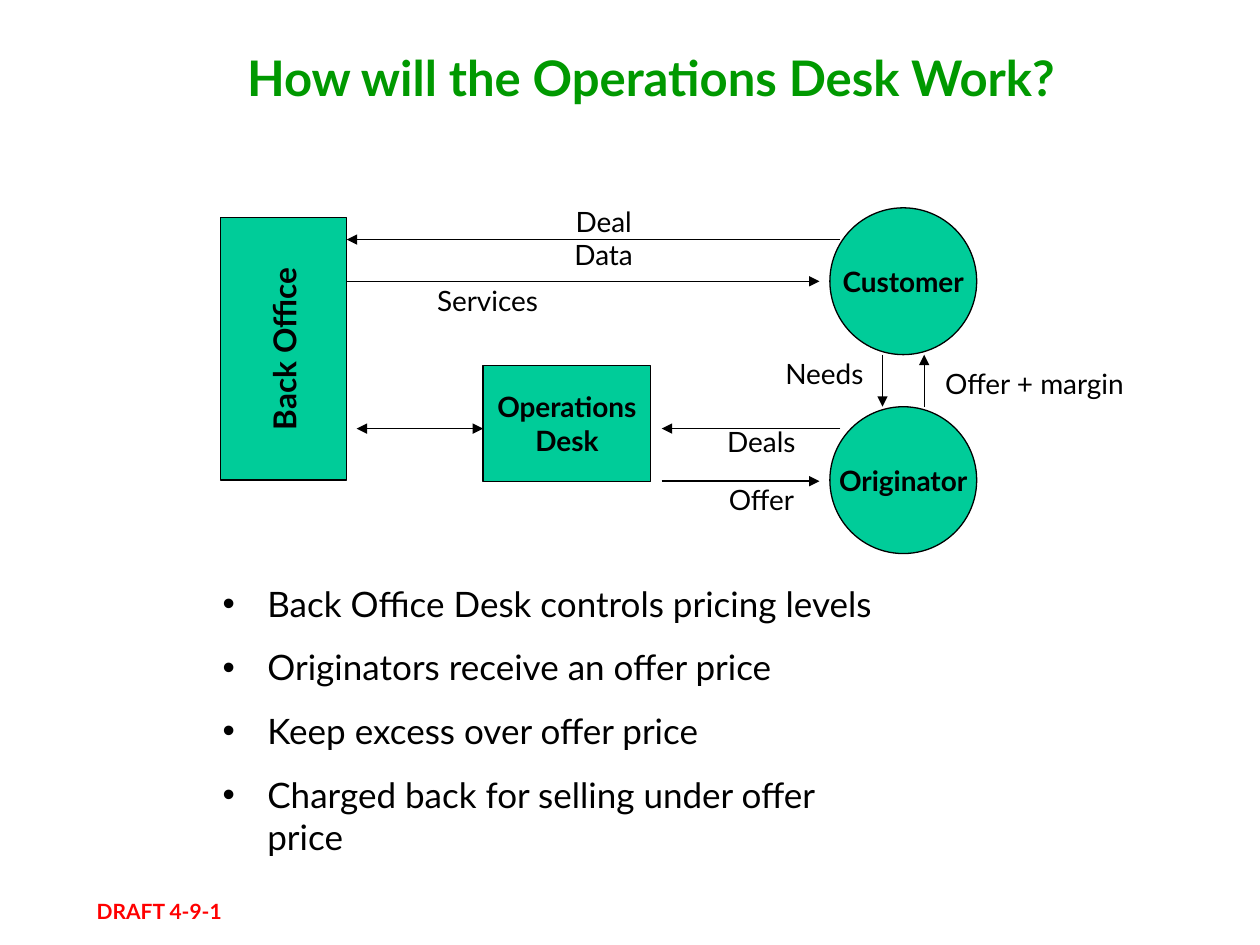
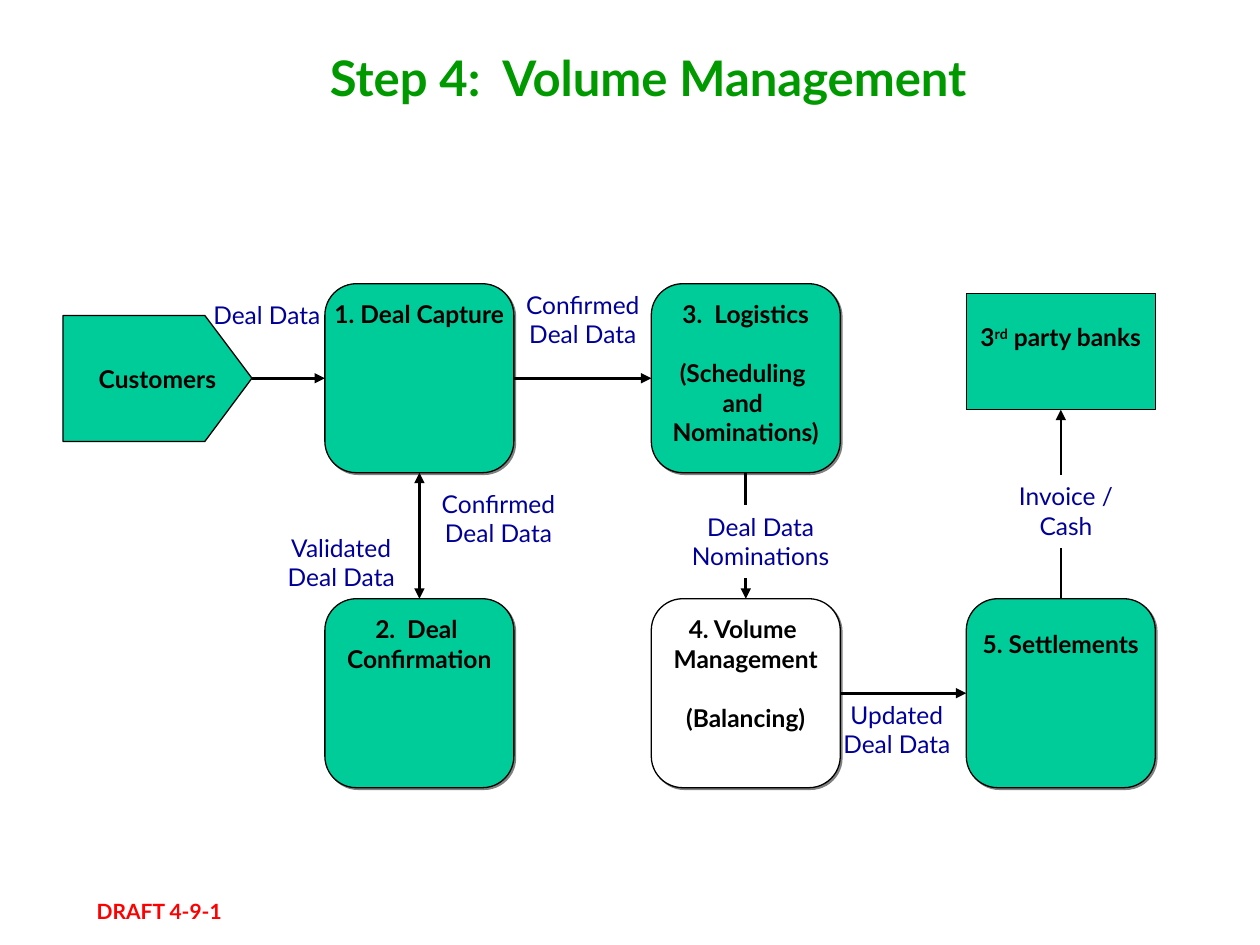
from lxml.etree import SubElement as Sub
from pptx import Presentation
from pptx.dml.color import RGBColor as Rgb
from pptx.enum.shapes import MSO_CONNECTOR as Con, MSO_SHAPE as Geo
from pptx.enum.text import MSO_ANCHOR as Anc, PP_ALIGN as Al
from pptx.oxml.ns import qn
from pptx.util import Cm, Pt

HUE = {"title": "009900", "fill": "00CC99", "ink": "000000", "white": "FFFFFF",
       "label": "000099", "draft": "FF0000", "shade": "808080"}
FONT = "Lato"
SIDE = 3.81
LINE = 16.8


def put(obj, vals):
    """Set each attribute named in a dict."""
    for name, val in vals.items():
        setattr(obj, name, val)


def write(shape, lines, size, hue="ink", bold=False, al=Al.CENTER, gap=None, **form):
    """Fill a shape with paragraphs; text between carets is raised."""
    frame = shape.text_frame
    put(frame, {"word_wrap": True, "vertical_anchor": Anc.TOP, **form})
    for num, line in enumerate(lines):
        para = frame.paragraphs[0] if num == 0 else frame.add_paragraph()
        put(para, {"alignment": al})
        if num == gap:
            para.space_before = Pt(LINE)
        for pos, part in enumerate(line.split("^")):
            run = para.add_run()
            run.text = part
            put(run.font, {"name": FONT, "size": Pt(size), "bold": bold})
            run.font.color.rgb = Rgb.from_string(HUE[hue])
            if pos % 2:
                run.font._element.set("baseline", "30000")
    return frame


def paint(shape, fill="fill"):
    """Give a shape its flat fill and thin outline."""
    shape.shadow.inherit = False
    shape.fill.solid()
    shape.fill.fore_color.rgb = Rgb.from_string(HUE[fill])
    shape.line.color.rgb = Rgb.from_string(HUE["ink"])
    shape.line.width = Pt(0.75)


def shade(shape):
    """Add a small hard shadow to the lower right."""
    fx = shape._element.spPr.find(qn("a:effectLst"))
    drop = Sub(fx, qn("a:outerShdw"), blurRad="0", dist="17780", dir="2700000",
               algn="ctr", rotWithShape="0")
    Sub(drop, qn("a:srgbClr"), val=HUE["shade"])


class Area:
    """A region of a slide that places parts relative to its corner."""

    def __init__(self, slide, left, top):
        """Keep the shapes and the corner, in cm."""
        self.items, self.left, self.top = slide.shapes, left, top

    def spot(self, x, y):
        """Turn a point of the region into slide lengths."""
        return Cm(self.left + x), Cm(self.top + y)

    def node(self, geo, x, y, wide, high, fill="fill"):
        """Add a filled shape."""
        shape = self.items.add_shape(geo, *self.spot(x, y), Cm(wide), Cm(high))
        paint(shape, fill)
        return shape

    def text(self, x, y, wide, high, lines, size, **form):
        """Add a text box."""
        box = self.items.add_textbox(*self.spot(x, y), Cm(wide), Cm(high))
        return write(box, lines, size, **form)

    def link(self, start, end, wide, both=False):
        """Add an arrow between two points."""
        line = self.items.add_connector(Con.STRAIGHT, *self.spot(*start), *self.spot(*end))
        line.line.color.rgb = Rgb.from_string(HUE["ink"])
        line.line.width = Pt(wide)
        pen = line.line._get_or_add_ln()
        for tag in ("a:headEnd", "a:tailEnd") if both else ("a:tailEnd",):
            Sub(pen, qn(tag), type="triangle")
        Sub(line._element.spPr, qn("a:effectLst"))


def base(deck, title, left, wide):
    """Add a slide with its title and draft mark."""
    slide = deck.slides.add_slide(deck.slide_layouts[6])
    area = Area(slide, 0, 0)
    area.text(1.7, 17.98, 5.08, 0.76, ["DRAFT 4-9-1"], 12, hue="draft", bold=True, al=Al.LEFT)
    area.text(left, 0.84, wide, 1.45, [title], 28, hue="title", bold=True, word_wrap=False)
    return slide


def desk(slide, left, top):
    """Draw the flow between back office, desk, originator and customer."""
    area = Area(slide, left, top)
    form = {"bold": True, "word_wrap": False, "vertical_anchor": Anc.MIDDLE}
    office = area.node(Geo.FLOWCHART_PROCESS, 0, 0.2, 2.54, 5.29)
    frame = write(office, ["Back Office"], 18, **form)
    frame._txBody.bodyPr.set("vert", "vert270")
    ops = area.node(Geo.FLOWCHART_PROCESS, 5.29, 3.18, 3.38, 2.34)
    write(ops, ["Operations", "Desk"], 16, **form)
    for name, y in (("Customer", 0), ("Originator", 4.01)):
        disc = area.node(Geo.FLOWCHART_CONNECTOR, 12.28, y, 2.96, 2.96)
        write(disc, [name], 16, **form)
    area.link((5.29, 4.45), (2.74, 4.45), 0.75, both=True)
    for start, end in (((12.49, 4.45), (8.89, 4.45)), ((8.89, 5.51), (12.07, 5.51)),
                       ((12.49, 0.64), (2.54, 0.64)), ((2.54, 1.48), (12.07, 1.48)),
                       ((13.34, 2.96), (13.34, 4.01)), ((14.18, 4.01), (14.18, 2.96))):
        area.link(start, end, 0.75)
    for name, x, y, wide in (("Deals", 9.53, 4.24, 2.74), ("Offer", 9.53, 5.41, 2.74),
                             ("Offer + margin", 14.18, 3.07, 4.45),
                             ("Deal Data", 6.35, -0.2, 2.74),
                             ("Services", 4.01, 1.4, 2.74), ("Needs", 10.8, 2.87, 2.74)):
        area.text(x, y, wide, 0.93, [name], 16)


def points(slide, left, top):
    """List the rules of the desk as bullets."""
    lines = ["Back Office Desk controls pricing levels", "Originators receive an offer price",
             "Keep excess over offer price", "Charged back for selling under offer price"]
    frame = Area(slide, left, top).text(0, 0, 13.97, 6.65, lines, 20, al=Al.LEFT)
    for num, para in enumerate(frame.paragraphs):
        props = para._p.get_or_add_pPr()
        put(para, {"space_before": Pt(12.5 if num else 0)})
        props.set("marL", str(Cm(0.9)))
        props.set("indent", str(-Cm(0.9)))
        Sub(props, qn("a:buFont"), typeface="Arial")
        Sub(props, qn("a:buChar"), char="•")


def steps(slide, left, top):
    """Draw the numbered steps from customers to banks."""
    area = Area(slide, left, top)
    cols, rows = (5.28, 11.86, 18.21), (0, 6.35)
    mid = [x + SIDE / 2 for x in cols]
    one, two = [y + SIDE / 2 for y in rows]
    for col, row, lines, gap, fill, pad in (
            (0, 0, ["1. Deal Capture"], None, "fill", 0.13),
            (0, 1, ["2.  Deal ", "Confirmation"], None, "fill", 0.13),
            (1, 0, ["3.  Logistics", "(Scheduling ", "and ", "Nominations)"], 1, "fill", 0.13),
            (1, 1, ["4. Volume ", "Management", "(Balancing)"], 2, "white", 0.13),
            (2, 1, ["5. Settlements"], None, "fill", 0.42)):
        step = area.node(Geo.FLOWCHART_ALTERNATE_PROCESS, cols[col], rows[row], SIDE, SIDE, fill)
        shade(step)
        write(step, lines, 14, bold=True, gap=gap, word_wrap=False, margin_top=Cm(pad))

    form = {"bold": True, "word_wrap": False, "vertical_anchor": Anc.MIDDLE}
    path = [area.spot(x, y) for x, y in
            ((0, 0.64), (2.86, 0.64), (SIDE, one), (2.86, 3.18), (0, 3.18))]
    pen = area.items.build_freeform(*path[0])
    pen.add_line_segments(path[1:], close=True)
    client = pen.convert_to_shape()
    paint(client)
    write(client, ["Customers"], 14, **form)
    banks = area.node(Geo.FLOWCHART_PROCESS, cols[2], 0.2, SIDE, 2.34)
    write(banks, ["3^rd^ party banks"], 14, margin_bottom=Cm(0.72), **form)

    for start, end in (((SIDE, one), (cols[0], one)), ((cols[0] + SIDE, one), (cols[1], one)),
                       ((cols[1] + SIDE, two), (cols[2], two)),
                       ((mid[1], SIDE), (mid[1], rows[1])), ((mid[2], rows[1]), (mid[2], 2.54))):
        area.link(start, end, 1.5)
    area.link((mid[0], SIDE), (mid[0], rows[1]), 1.5, both=True)

    for name, x, y, wide in (("Confirmed Deal Data", 8.89, 0, 3.18), ("Deal Data", 2.74, 0.2, 2.74),
                             ("Confirmed Deal Data", 7.19, 4.01, 3.18),
                             ("Updated Deal Data", 15.44, 8.26, 2.74),
                             ("Validated Deal Data", 4.24, 4.9, 2.74)):
        area.text(x, y, wide, 1.45, [name], 14, hue="label")
    for name, x, y, wide in (("Deal Data Nominations", 12.06, 4.47, 4.01),
                             ("Invoice / Cash", 18.85, 3.86, 2.74)):
        plate = area.node(Geo.RECTANGLE, x, y, wide, 1.45, "white")
        plate.line.color.rgb = Rgb.from_string(HUE["white"])
        write(plate, [name], 14, hue="label")


def main():
    """Build both slides and save them."""
    deck = Presentation()
    put(deck, {"slide_width": Cm(25.4), "slide_height": Cm(19.05)})
    work = base(deck, "How will the Operations Desk Work?", 3.91, 18.42)
    desk(work, 4.45, 4.19)
    points(work, 4.24, 11.61)
    steps(base(deck, "Step 4:  Volume Management", 5.61, 14.91), 1.27, 5.72)
    deck.save("out.pptx")


if __name__ == "__main__":
    main()
